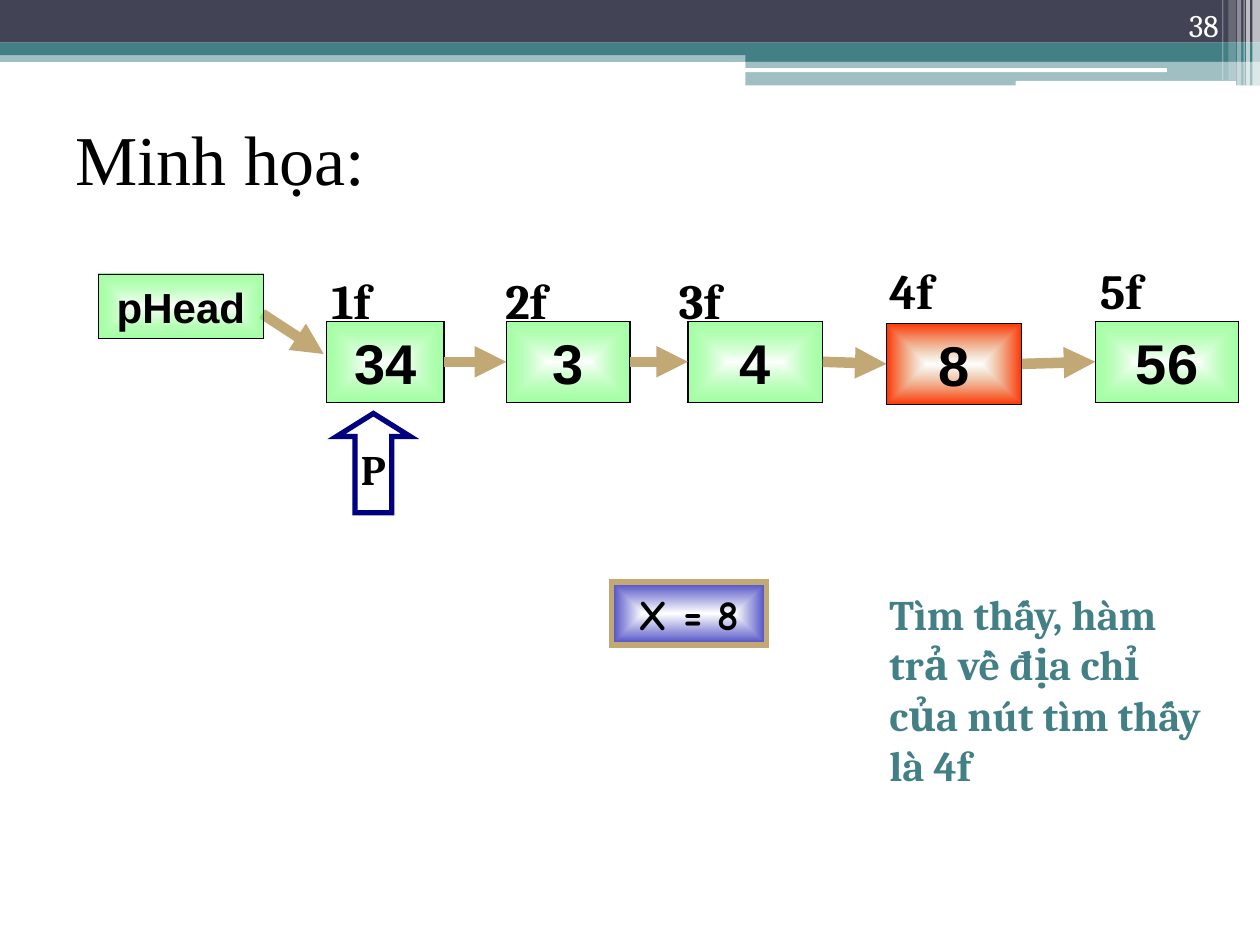
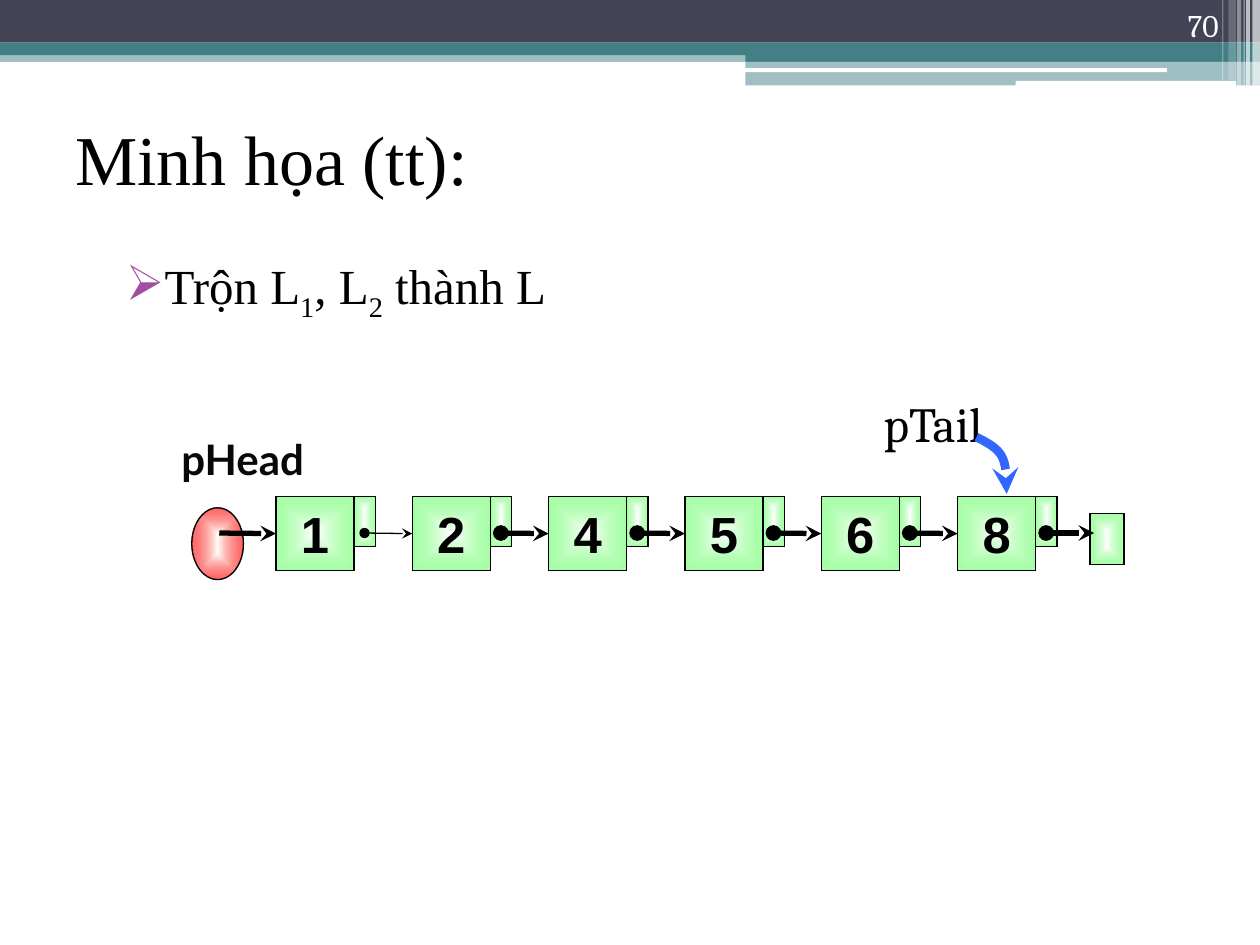
import lxml.etree
import pptx
import pptx.dml.color
import pptx.enum.shapes
import pptx.enum.text
import pptx.oxml.ns
import pptx.util

Pt = pptx.util.Pt
qn = pptx.oxml.ns.qn
SubElement = lxml.etree.SubElement
SHAPE = pptx.enum.shapes.MSO_SHAPE
ALIGN = pptx.enum.text.PP_ALIGN
ANCHOR = pptx.enum.text.MSO_ANCHOR

COLORS = {
    "black": "000000", "ink": "080808", "white": "FFFFFF", "cream": "FFFFF7",
    "slate": "424456", "teal": "438086", "tan": "C2A874", "navy": "000080",
    "green": "69FF69", "orange": "FF3300", "violet": "4949C3", "red": "FF0000",
    "blue": "3366FF", "purple": "A04DA3",
}

# Fills are (colour, opacity %) stops: one stop is solid, two run from the centre out
GREEN = [("white", 100), ("green", 60)]
FOUND = [("white", 60), ("orange", 100)]
VIOLET = [("white", 100), ("violet", 100)]
RED = [("cream", 100), ("red", 60)]

# Header bands: shape, left, top, width, height, colour, opacity %
BANDS = [
    (SHAPE.RECTANGLE, 0, 28.8, 720, 6.6, "teal", 50),
    (SHAPE.RECTANGLE, 0, 0, 720, 24.4, "slate", 100),
    (SHAPE.RECTANGLE, 0, 24.4, 720, 7.1, "teal", 100),
    (SHAPE.RECTANGLE, 426, 28, 294, 7.2, "teal", 100),
    (SHAPE.RECTANGLE, 426, 34.8, 294, 14, "teal", 50),
    (SHAPE.ROUNDED_RECTANGLE, 425.6, 39, 241.2, 2.2, "white", 100),
    (SHAPE.ROUNDED_RECTANGLE, 580.4, 46.3, 126, 2.9, "white", 100),
]
# Stripes at the right end of the header: left, width, height, opacity %
STRIPES = [(715.7, 4.3, 49, 65), (712.1, 2.2, 49, 65), (710.6, 0.7, 49, 60),
           (707, 2.2, 49, 40), (702, 4.3, 46, 20), (698.4, 0.7, 46, 30)]


class Deck:
    def __init__(self):
        self.prs = pptx.Presentation()
        self.prs.slide_width, self.prs.slide_height = Pt(720), Pt(540)
        self.slide = None

    def new_slide(self, title, number):
        self.slide = self.prs.slides.add_slide(self.prs.slide_layouts[6])
        for kind, left, top, width, height, color, opacity in BANDS:
            self.shape(kind, (left, top, width, height), [(color, opacity)])
        for left, width, height, opacity in STRIPES:
            self.shape(SHAPE.RECTANGLE, (left, 0, width, height), [("white", opacity)])
        self.text((36, 48.2, 648, 84.2), title, 40, "Times New Roman",
                  bold=False, anchor=ANCHOR.MIDDLE)
        self.text((643.7, 0, 59.8, 28.8), number, 18, color="white", bold=False,
                  align=ALIGN.RIGHT, anchor=ANCHOR.BOTTOM)

    def rgb(self, color):
        return pptx.dml.color.RGBColor.from_string(COLORS[color])

    def style(self, paragraph, size, font, color, bold, align):
        paragraph.alignment = align
        paragraph.font.size = Pt(size)
        paragraph.font.name = font
        paragraph.font.bold = bold
        paragraph.font.color.rgb = self.rgb(color)

    def paint(self, shape, stops):
        shape.fill.solid()
        solid = shape._element.spPr.find(qn("a:solidFill"))
        if len(stops) == 1:
            solid.clear()
            self.stop_color(solid, *stops[0])
            return
        gradient = lxml.etree.Element(qn("a:gradFill"), rotWithShape="1")
        stop_list = SubElement(gradient, qn("a:gsLst"))
        for position, stop in zip(("0", "100000"), stops):
            self.stop_color(SubElement(stop_list, qn("a:gs"), pos=position), *stop)
        path = SubElement(gradient, qn("a:path"), path="shape")
        SubElement(path, qn("a:fillToRect"),
                   {side: "50000" for side in "ltrb"})
        solid.getparent().replace(solid, gradient)

    def stop_color(self, parent, color, opacity):
        value = SubElement(parent, qn("a:srgbClr"), val=COLORS[color])
        if opacity < 100:
            SubElement(value, qn("a:alpha"), val=str(opacity * 1000))

    def stroke(self, item, color, weight, head=None, tail=None):
        item.line.color.rgb = self.rgb(color)
        item.line.width = Pt(weight)
        ln = item.line._get_or_add_ln()
        SubElement(ln, qn("a:miter"), lim="800000")
        for tag, kind in (("a:headEnd", head), ("a:tailEnd", tail)):
            if kind:
                SubElement(ln, qn(tag), type=kind)

    def shape(self, kind, box, stops=None, outline=None, weight=0.75):
        shape = self.slide.shapes.add_shape(kind, *map(Pt, box))
        shape.shadow.inherit = False
        if stops:
            self.paint(shape, stops)
        else:
            shape.fill.background()
        if outline:
            self.stroke(shape, outline, weight)
        else:
            shape.line.fill.background()
        return shape

    def label(self, shape, text, size, font="Arial", wrap=True):
        frame = shape.text_frame
        frame.word_wrap = wrap
        frame.vertical_anchor = ANCHOR.MIDDLE
        frame.text = text
        self.style(frame.paragraphs[0], size, font, "black", True, ALIGN.CENTER)

    def node(self, box, text="", size=32, stops=GREEN):
        node = self.shape(SHAPE.RECTANGLE, box, stops, "black")
        if text:
            self.label(node, text, size)
        return node

    def text(self, box, text, size, font="Cambria", color="black", bold=True,
             align=ALIGN.LEFT, anchor=ANCHOR.TOP, inset=True):
        frame = self.slide.shapes.add_textbox(*map(Pt, box)).text_frame
        frame.word_wrap = True
        frame.vertical_anchor = anchor
        if not inset:
            frame.margin_left = frame.margin_right = 0
            frame.margin_top = frame.margin_bottom = 0
        frame.text = text
        self.style(frame.paragraphs[0], size, font, color, bold, align)

    def bullet(self, box, parts, size):
        """Parts are (text, is_subscript) pairs."""
        frame = self.slide.shapes.add_textbox(*map(Pt, box)).text_frame
        frame.word_wrap = True
        paragraph = frame.paragraphs[0]
        props = paragraph._p.get_or_add_pPr()
        props.set("marL", str(Pt(28.8)))
        props.set("indent", str(-Pt(20.2)))
        self.stop_color(SubElement(props, qn("a:buClr")), "purple", 100)
        SubElement(props, qn("a:buChar"), char="➢")
        for text, is_subscript in parts:
            run = paragraph.add_run()
            run.text = text
            if is_subscript:
                run._r.get_or_add_rPr().set("baseline", "-25000")
        self.style(paragraph, size, "Times New Roman", "black", False, ALIGN.JUSTIFY)

    def arrow(self, start, end, color, weight, head=None, tail="triangle",
              source=None, target=None):
        """Join the right side of source to the left side of target, if given."""
        arrow = self.slide.shapes.add_connector(
            pptx.enum.shapes.MSO_CONNECTOR.STRAIGHT, *map(Pt, (*start, *end)))
        if source is not None:
            arrow.begin_connect(source, 3)
        if target is not None:
            arrow.end_connect(target, 1)
        self.stroke(arrow, color, weight, head, tail)
        SubElement(arrow._element.spPr, qn("a:effectLst"))

    def curve(self, controls, color, weight, steps=10):
        """Draw an arrow along joined cubic Bezier segments."""
        points = [controls[0]]
        for first in range(0, len(controls) - 1, 3):
            segment = controls[first:first + 4]
            for step in range(1, steps + 1):
                t = step / steps
                weights = ((1 - t) ** 3, 3 * t * (1 - t) ** 2, 3 * t * t * (1 - t), t ** 3)
                points.append([sum(w * point[axis] for w, point in zip(weights, segment))
                               for axis in (0, 1)])
        points = [(Pt(x), Pt(y)) for x, y in points]
        builder = self.slide.shapes.build_freeform(*points[0])
        builder.add_line_segments(points[1:], close=False)
        curve = builder.convert_to_shape()
        curve.shadow.inherit = False
        curve.fill.background()
        self.stroke(curve, color, weight, tail="stealth")


def search_slide(deck):
    deck.new_slide("Minh họa:", "38")

    # List nodes: value, left, top, width, address, address left, address top
    row = [
        ("34", 186.7, 183.6, 67, "1f", 182.2, 151.2),
        ("3", 289.3, 183.6, 70.8, "2f", 281.5, 151.2),
        ("4", 393.1, 183.6, 77, "3f", 380.9, 151.2),
        ("8", 506.6, 184.8, 77, "4f", 501.1, 145.4),
        ("56", 625.9, 183.6, 82, "5f", 621.4, 145.4),
    ]
    nodes = [deck.node((left, top, width, 46.3), value)
             for value, left, top, width, *_ in row]
    for source, target in zip(nodes, nodes[1:]):
        deck.arrow((0, 0), (1, 1), "tan", 6, source=source, target=target)
    for *_, address, left, top in row:
        deck.text((left, top, 62, 41), address, 28)

    # Head pointer
    deck.arrow((149.8, 179.3), (185, 202.3), "tan", 6)
    deck.node((56.2, 156.7, 94.3, 36.7), "pHead", 24)

    # Moving pointer
    pointer = deck.shape(SHAPE.UP_ARROW, (192.4, 236.3, 42, 56.7), None, "navy", 3)
    pointer.adjustments[0], pointer.adjustments[1] = 0.5, 0.313
    deck.label(pointer, "P", 24, "Cambria", wrap=False)

    # Searched value and result
    sought = deck.shape(SHAPE.RECTANGLE, (349.4, 332.6, 88.6, 36), VIOLET, "tan", 3)
    deck.label(sought, "X = 8", 24, "Comic Neue")
    deck.text((501.1, 332.6, 198.7, 123.8),
              "Tìm thấy, hàm trả về địa chỉ của nút tìm thấy là 4f", 24, color="teal")
    value, left, top, width, *_ = row[3]
    deck.node((left, top, width, 46.3), value, stops=FOUND)


def merge_slide(deck):
    deck.new_slide("Minh họa (tt):", "70")
    deck.bullet((56.2, 142.7, 663.8, 45.4),
                [("Trộn L", False), ("1", True), (", L", False), ("2", True),
                 (" thành L", False)], 28)

    # List nodes with their link cells
    left, step, top, axis = 157.7, 77.9, 283.7, 304.6
    deck.shape(SHAPE.OVAL, (109.6, 290.2, 29.5, 41), RED, "black")
    deck.node((622.8, 293.6, 19.6, 29))
    nodes = []
    for i, value in enumerate("124568"):
        x = left + i * step
        deck.node((x + 44.6, top, 12.2, 28.8))
        nodes.append(deck.node((x, top, 44.6, 42.5), value, 29))

    # Links; the last one ends in the empty cell
    deck.arrow((125.3, axis), (left, axis), "black", 3, tail="stealth", target=nodes[0])
    for i, target in enumerate(nodes[1:] + [None]):
        x = left + i * step + 50.6
        deck.arrow((x, axis), (x + 27.4, axis), "black", 3 if i else 0.75,
                   "oval", "stealth", target=target)

    # Head and tail pointers
    deck.text((99.4, 247.7, 78.5, 33.1), "pHead", 24, "Lato", "ink",
              align=ALIGN.CENTER, inset=False)
    deck.text((496.8, 224.6, 72.7, 25.2), "pTail", 28, bold=False,
              align=ALIGN.CENTER, inset=False)
    deck.curve([(558, 249.8), (563.8, 252.7), (569.5, 255.6), (572.4, 260.6),
                (575.3, 265.7), (575.3, 274.3), (575.3, 282.2)], "blue", 5)


def main():
    deck = Deck()
    search_slide(deck)
    merge_slide(deck)
    deck.prs.save("out.pptx")


if __name__ == "__main__":
    main()
